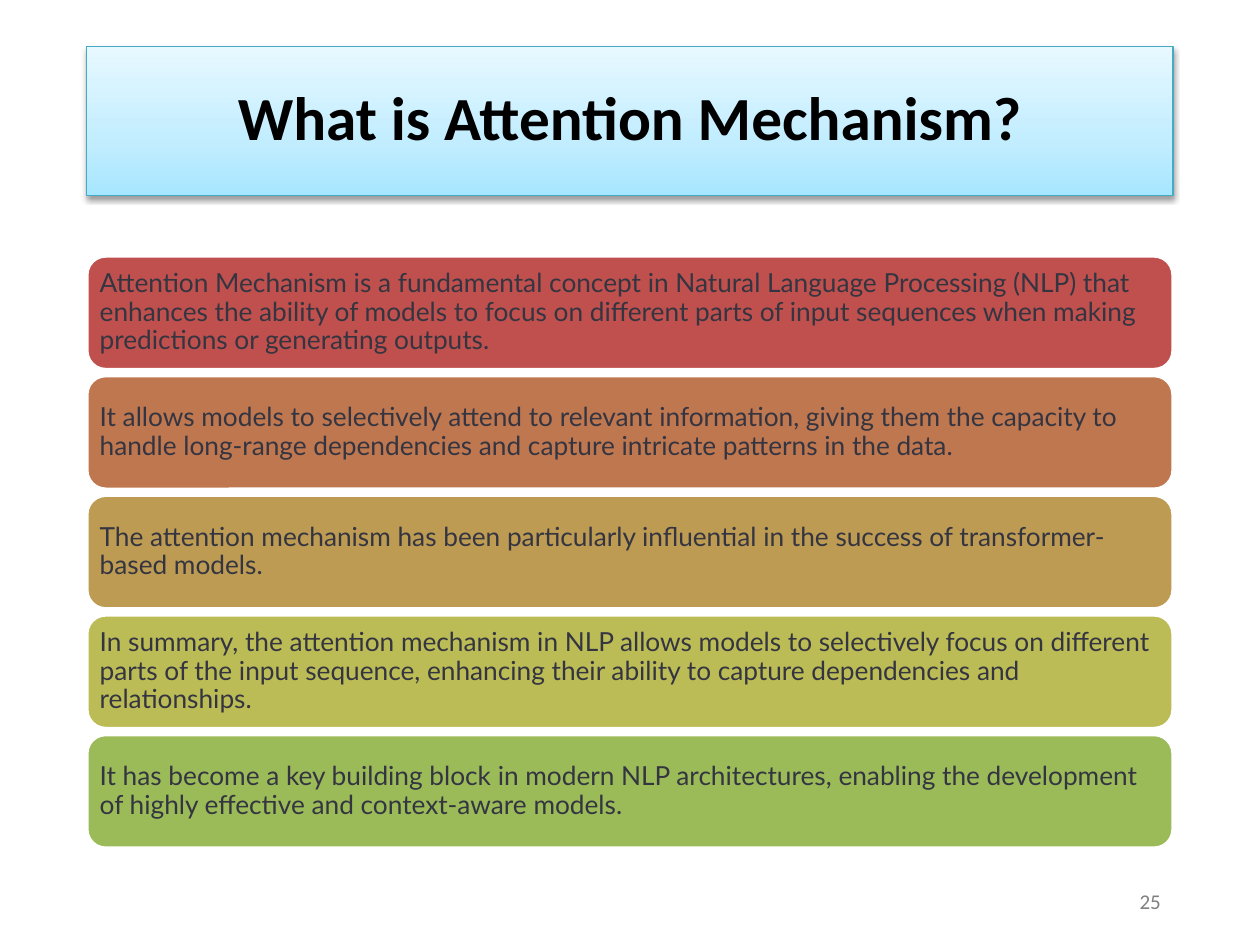
from copy import deepcopy

from lxml import etree
from pptx import Presentation
from pptx.dml.color import RGBColor
from pptx.enum.shapes import MSO_SHAPE
from pptx.enum.text import MSO_ANCHOR, PP_ALIGN
from pptx.oxml.ns import qn
from pptx.util import Cm, Pt

RECT = MSO_SHAPE.RECTANGLE
ROUND = MSO_SHAPE.ROUNDED_RECTANGLE
MIDDLE = MSO_ANCHOR.MIDDLE
LEFT, CENTER, RIGHT = PP_ALIGN.LEFT, PP_ALIGN.CENTER, PP_ALIGN.RIGHT

EDGE = 1.75
WIDTH = 21.9
STOPS = [(0, "A7E6FF"), (0.35, "C1EDFF"), (1, "E7F8FF")]
POINTS = [
    ("C0504D", "Attention Mechanism is a fundamental concept in Natural Language Processing (NLP) that enhances the ability of models to focus on different parts of input sequences when making predictions or generating outputs."),
    ("BF7750", "It allows models to selectively attend to relevant information, giving them the capacity to handle long-range dependencies and capture intricate patterns in the data."),
    ("BD9B53", "The attention mechanism has been particularly influential in the success of transformer-based models."),
    ("BCBC56", "In summary, the attention mechanism in NLP allows models to selectively focus on different parts of the input sequence, enhancing their ability to capture dependencies and relationships."),
    ("9BBB59", "It has become a key building block in modern NLP architectures, enabling the development of highly effective and context-aware models."),
]


def color(code):
    return RGBColor.from_string(code)


def write(shape, text, font, size, code, align, bold=False, after=6):
    frame = shape.text_frame
    frame.word_wrap = True
    frame.vertical_anchor = MIDDLE
    frame.text = text
    para = frame.paragraphs[0]
    para.alignment = align
    para.space_after = Pt(after)
    run = para.runs[0]
    run.font.name = font
    run.font.size = Pt(size)
    run.font.bold = bold
    run.font.color.rgb = color(code)
    return para


def add_shade(shape):
    shape.shadow.inherit = False
    effects = shape._element.spPr.find(qn("a:effectLst"))
    shade = etree.SubElement(effects, qn("a:outerShdw"), blurRad=str(Pt(3.1)),
                             dist=str(Pt(1.6)), dir="5400000", rotWithShape="0")
    black = etree.SubElement(shade, qn("a:srgbClr"), val="000000")
    etree.SubElement(black, qn("a:alpha"), val="38000")


def add_blend(shape):
    fill = shape.fill
    fill.gradient()
    fill.gradient_angle = 90
    first = next(shape._element.spPr.iter(qn("a:gs")))
    first.addnext(deepcopy(first))
    for stop, (place, code) in zip(fill.gradient_stops, STOPS):
        stop.position = place
        stop.color.rgb = color(code)


def add_title(slide, left, top, width, height):
    shape = slide.shapes.add_shape(RECT, Cm(left), Cm(top), Cm(width), Cm(height))
    add_blend(shape)
    shape.line.color.rgb = color("46AAC5")
    shape.line.width = Pt(0.75)
    add_shade(shape)
    para = write(shape, "What is Attention Mechanism?", "Calibri", 35, "000000", CENTER, True)
    para.line_spacing = 0.9


def add_points(slide, left, top, width, height):
    gap = 0.12
    tall = (height - gap * (len(POINTS) - 1)) / len(POINTS)
    for row, (code, text) in enumerate(POINTS):
        y = top + row * (tall + gap)
        shape = slide.shapes.add_shape(ROUND, Cm(left), Cm(y), Cm(width), Cm(tall))
        shape.shadow.inherit = False
        shape.fill.solid()
        shape.fill.fore_color.rgb = color(code)
        shape.line.color.rgb = color("FFFFFF")
        shape.line.width = Pt(2)
        frame = shape.text_frame
        frame.margin_left = frame.margin_right = Cm(0.15)
        frame.margin_top = frame.margin_bottom = Cm(0.15)
        para = write(shape, text, "Lato", 15, "343541", LEFT, after=5.25)
        para.line_spacing = 0.9


def add_number(slide, left, top, width, height):
    box = slide.shapes.add_textbox(Cm(left), Cm(top), Cm(width), Cm(height))
    write(box, "25", "Calibri", 12, "808080", RIGHT)


def main():
    deck = Presentation()
    deck.slide_width = Cm(25.4)
    deck.slide_height = Cm(19.05)
    slide = deck.slides.add_slide(deck.slide_layouts[6])
    add_title(slide, EDGE, 0.94, WIDTH, 3)
    add_number(slide, 18.16, 17.65, 5.49, 1.02)
    add_points(slide, EDGE, 5.16, WIDTH, 11.94)
    deck.save("out.pptx")


if __name__ == "__main__":
    main()
